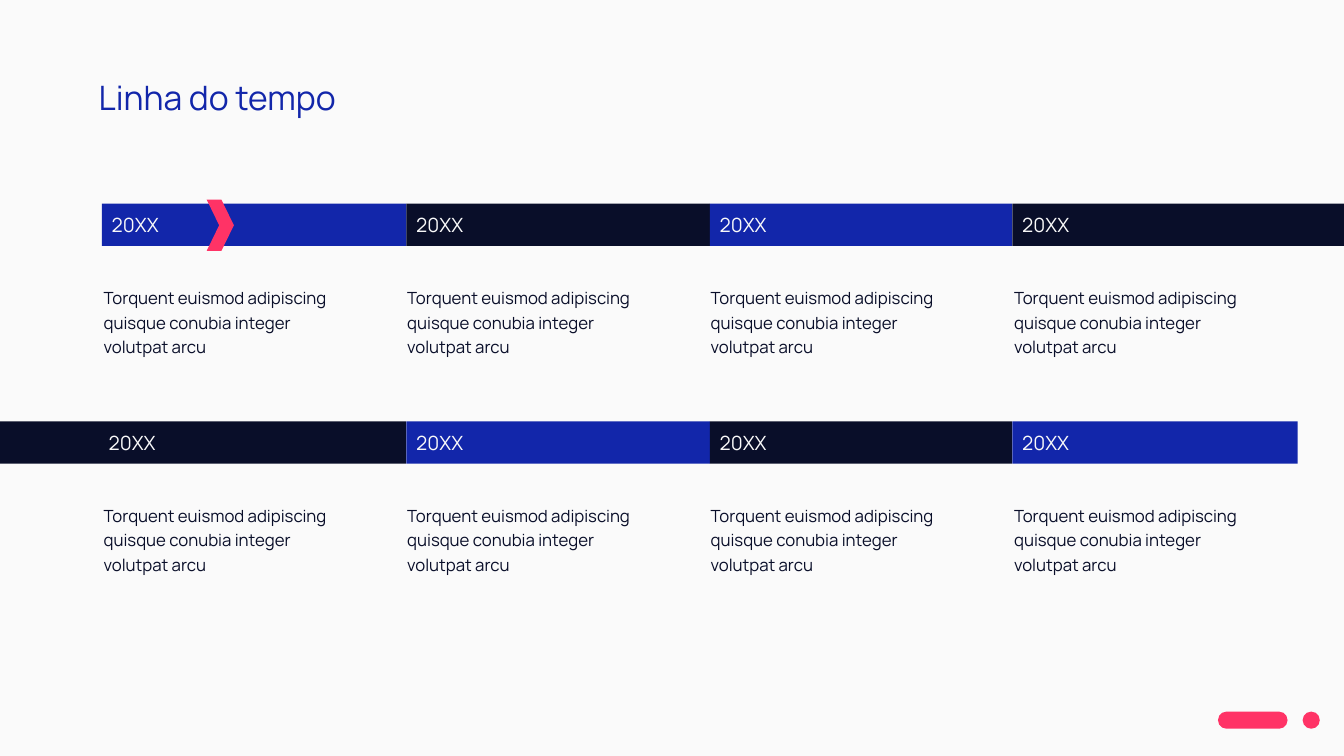
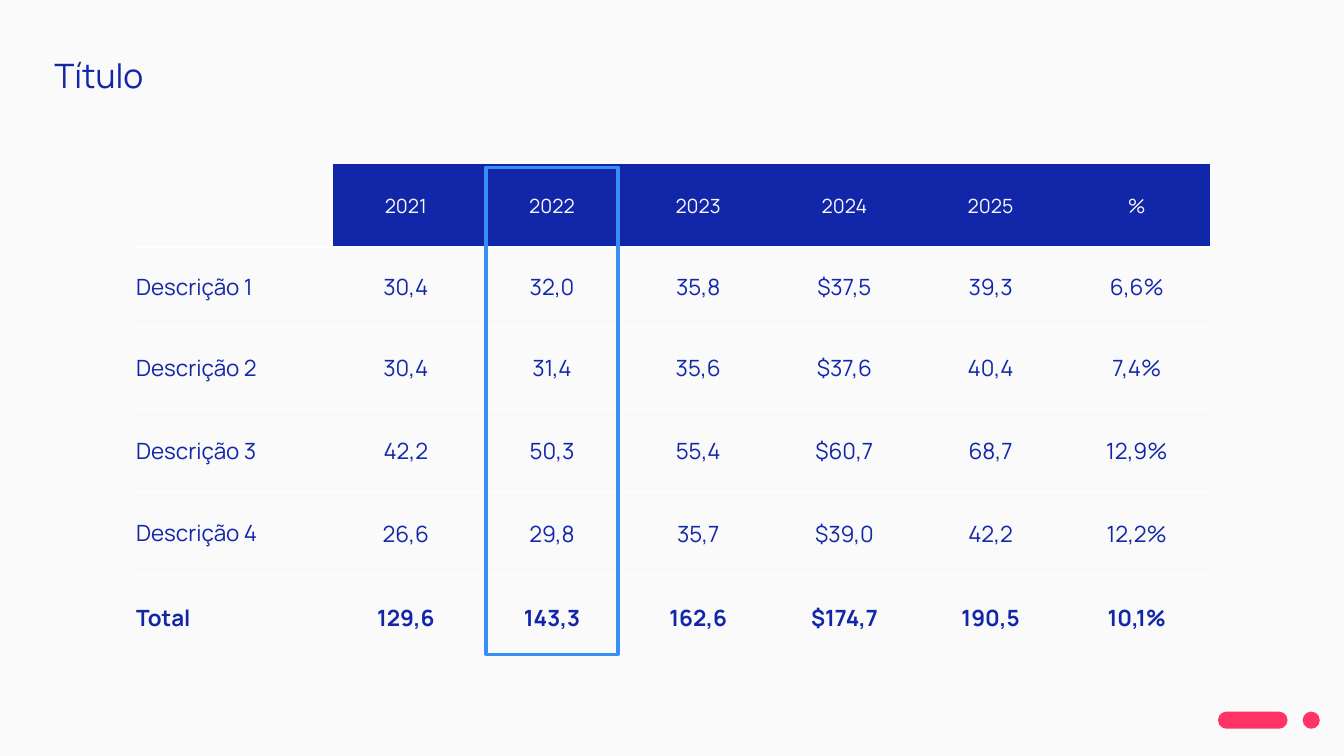
from dataclasses import dataclass

from lxml import etree
from pptx import Presentation
from pptx import util as u
from pptx.dml.color import RGBColor
from pptx.enum import shapes, text
from pptx.oxml.ns import qn

I = u.Inches


@dataclass(frozen=True)
class Theme:
    font: str = "Manrope"
    paper: str = "FAFAFA"
    blue: str = "1226AA"
    navy: str = "090E29"
    pink: str = "FF3366"
    sky: str = "378EF5"
    rule: str = "FFFFFF"
    title: int = 24
    cell: int = 16
    label: int = 14
    body: int = 12


T = Theme()
NO_STYLE = "{2D5ABB26-0587-4C30-8999-92F81FD0307C}"
BLURB = "Torquent euismod adipiscing quisque conubia integer volutpat arcu"
HEADER = ["", "2021", "2022", "2023", "2024", "2025", "%"]
ROWS = [
    ["Descrição 1", "30,4", "32,0", "35,8", "$37,5", "39,3", "6,6%"],
    ["Descrição 2", "30,4", "31,4", "35,6", "$37,6", "40,4", "7,4%"],
    ["Descrição 3", "42,2", "50,3", "55,4", "$60,7", "68,7", "12,9%"],
    ["Descrição 4", "26,6", "29,8", "35,7", "$39,0", "42,2", "12,2%"],
    ["Total", "129,6", "143,3", "162,6", "$174,7", "190,5", "10,1%"],
]


def rgb(color):
    return RGBColor.from_string(color)


def write(tf, words, size, color, align=text.PP_ALIGN.LEFT, bold=False):
    tf.text = words
    p = tf.paragraphs[0]
    p.alignment = align
    for r in p.runs:
        r.font.name = T.font
        r.font.size = u.Pt(size)
        r.font.bold = bold
        r.font.color.rgb = rgb(color)
    return p


def shape(s, kind, x, y, w, h, fill=None, line=None):
    sp = s.shapes.add_shape(kind, I(x), I(y), I(w), I(h))
    sp.shadow.inherit = False
    if fill:
        sp.fill.solid()
        sp.fill.fore_color.rgb = rgb(fill)
    else:
        sp.fill.background()
    if line:
        sp.line.color.rgb = rgb(line)
        sp.line.width = u.Pt(2.25)
    else:
        sp.line.fill.background()
    return sp


def text_box(s, x, y, w, h, words, size, color):
    tf = s.shapes.add_textbox(I(x), I(y), I(w), I(h)).text_frame
    tf.word_wrap = True
    tf.auto_size = text.MSO_AUTO_SIZE.SHAPE_TO_FIT_TEXT
    write(tf, words, size, color)
    return tf


def new_slide(prs, title, x, y):
    s = prs.slides.add_slide(prs.slide_layouts[6])
    s.background.fill.solid()
    s.background.fill.fore_color.rgb = rgb(T.paper)
    for left, w in ((12.08, 0.69), (12.92, 0.17)):
        sp = shape(s, shapes.MSO_SHAPE.ROUNDED_RECTANGLE, left, 7.06, w, 0.17, T.pink)
        sp.adjustments[0] = 0.5
    tf = text_box(s, x, y, 7.09, 0.61, title, T.title, T.blue)
    tf.margin_top = tf.margin_bottom = I(0.1)
    return s


def timeline_row(s, y, edges, colors, indent=0):
    for i, (x, end) in enumerate(zip(edges, edges[1:])):
        sp = shape(s, shapes.MSO_SHAPE.RECTANGLE, x, y, end - x, 0.42, colors[i % 2])
        sp.text_frame.vertical_anchor = text.MSO_ANCHOR.MIDDLE
        p = write(sp.text_frame, "20XX", T.label, T.paper)
        if i == 0 and indent:
            p._p.get_or_add_pPr().set("marL", str(I(indent)))
        tf = text_box(s, 0.93 + 3.01 * i, y + 0.75, 2.61, 0.81, BLURB, T.body, T.navy)
        tf.paragraphs[0].line_spacing = 1.2


def timeline_slide(prs):
    s = new_slide(prs, "Linha do tempo", 0.88, 0.66)
    inner = [4.03, 7.04, 10.04]
    timeline_row(s, 2.02, [1.01, *inner, 13.33], (T.blue, T.navy))
    timeline_row(s, 4.18, [0, *inner, 12.87], (T.navy, T.blue), indent=0.98)
    marker = shape(s, shapes.MSO_SHAPE.CHEVRON, 2.05, 1.98, 0.27, 0.51, T.pink)
    marker.adjustments[0] = 0.46


def border(cell, side):
    ln = etree.SubElement(cell._tc.get_or_add_tcPr(), qn("a:" + side), w=str(u.Pt(1)))
    fill = etree.SubElement(ln, qn("a:solidFill"))
    color = etree.SubElement(fill, qn("a:srgbClr"), val=T.rule)
    etree.SubElement(color, qn("a:alpha"), val="30000")


def fill_cell(cell, words, row, col, last):
    head, total = row == 0, row == last
    if row > 0:
        border(cell, "lnT")
    if not total:
        border(cell, "lnB")
    if head and col:
        cell.fill.solid()
        cell.fill.fore_color.rgb = rgb(T.blue)
    else:
        cell.fill.background()
    cell.vertical_anchor = text.MSO_ANCHOR.MIDDLE
    cell.margin_left = cell.margin_right = cell.margin_top = I(0.01 if col else 0)
    cell.margin_bottom = 0
    align = text.PP_ALIGN.CENTER if col else text.PP_ALIGN.LEFT
    size, color = (T.label, T.paper) if head else (T.cell, T.blue)
    write(cell.text_frame, words, size, color, align, total)


def data_table(s, x, y, widths, heights, data):
    frame = s.shapes.add_table(len(heights), len(widths), I(x), I(y),
                               I(sum(widths)), I(sum(heights)))
    tbl = frame.table
    tbl.first_row = tbl.horz_banding = False
    tbl._tbl.tblPr.find(qn("a:tableStyleId")).text = NO_STYLE
    for column, w in zip(tbl.columns, widths):
        column.width = I(w)
    for row, h in enumerate(heights):
        tbl.rows[row].height = I(h)
        for col, words in enumerate(data[row]):
            fill_cell(tbl.cell(row, col), words, row, col, len(heights) - 1)


def table_slide(prs):
    s = new_slide(prs, "Título", 0.44, 0.44)
    data_table(s, 1.35, 1.63, [1.95] + [1.45] * 6,
               [0.82, 0.79, 0.82, 0.82, 0.82, 0.86], [HEADER, *ROWS])
    shape(s, shapes.MSO_SHAPE.RECTANGLE, 4.82, 1.66, 1.31, 4.83, line=T.sky)


def main():
    prs = Presentation()
    prs.slide_width, prs.slide_height = I(13.33), I(7.5)
    timeline_slide(prs)
    table_slide(prs)
    prs.save("out.pptx")


if __name__ == "__main__":
    main()
